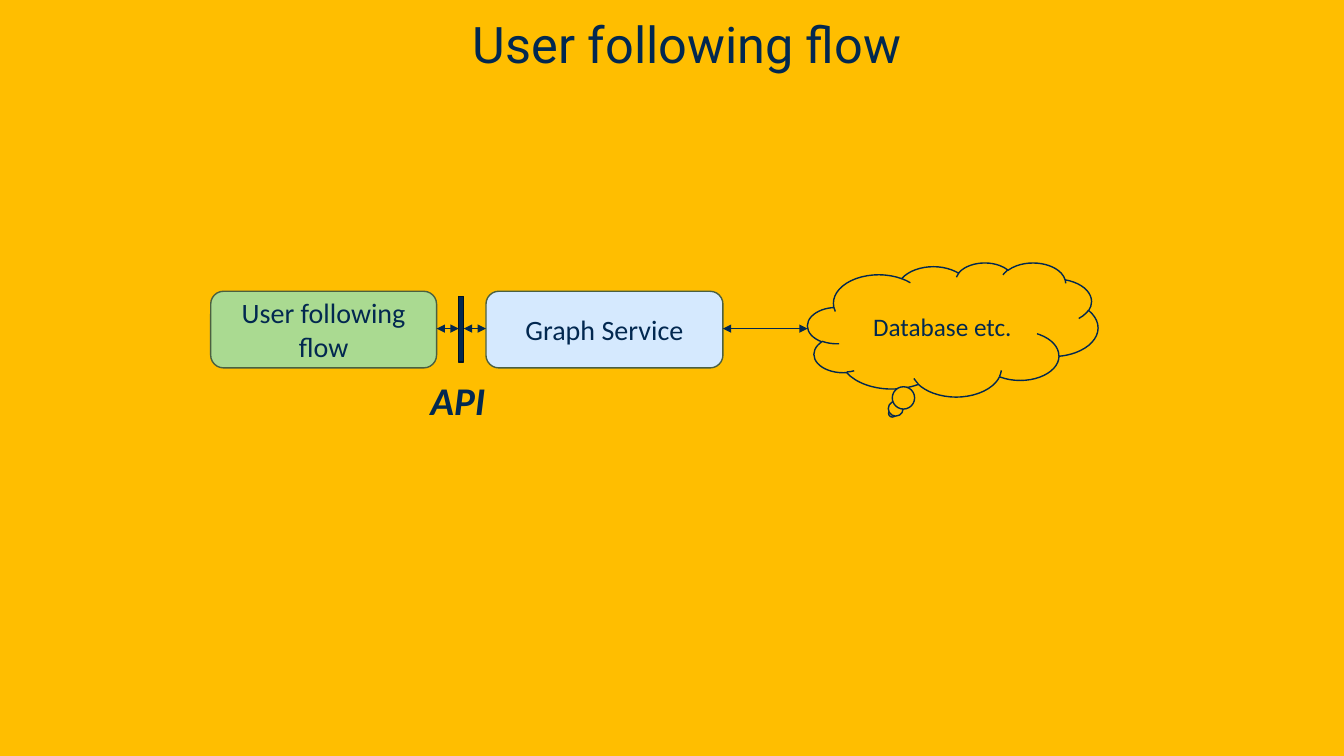
from pptx import Presentation
from pptx.dml.color import RGBColor
from pptx.enum.shapes import MSO_CONNECTOR, MSO_SHAPE
from pptx.enum.text import MSO_ANCHOR, PP_ALIGN
from pptx.oxml.ns import qn
from pptx.util import Inches, Pt
from lxml.etree import SubElement

NAVY, YELLOW, GREEN, BLUE = "022850", "FFBE00", "AADA91", "D5E9FE"
EDGE, BAR_EDGE = "4B6040", "011223"


def rgb(color):
    """Turn a hex string into a colour."""
    return RGBColor.from_string(color)


def write(s, text, size, font="Calibri", align=PP_ALIGN.CENTER, anchor=MSO_ANCHOR.MIDDLE):
    """Write one paragraph into a shape and return it."""
    tf = s.text_frame
    tf.word_wrap = True
    tf.vertical_anchor = anchor
    p = tf.paragraphs[0]
    p.text = text
    p.alignment = align
    p.font.size, p.font.name = Pt(size), font
    p.font.color.rgb = rgb(NAVY)
    return p


def add_node(slide, kind, box, fill, line, text="", size=20):
    """Add a filled, outlined shape with an optional label."""
    s = slide.shapes.add_shape(kind, *map(Inches, box))
    s.shadow.inherit = False
    s.fill.solid()
    s.fill.fore_color.rgb = rgb(fill)
    s.line.color.rgb = rgb(line)
    s.line.width = Pt(1)
    if text:
        write(s, text, size)


def add_arrow(slide, x1, x2, y):
    """Add a thin horizontal arrow with a head at each end."""
    s = slide.shapes.add_connector(MSO_CONNECTOR.STRAIGHT, *map(Inches, (x1, y, x2, y)))
    s.line.color.rgb = rgb(NAVY)
    s.line.width = Pt(0.5)
    ln = s.line._get_or_add_ln()
    for end in ("a:headEnd", "a:tailEnd"):
        SubElement(ln, qn(end), type="triangle")
    SubElement(s._element.spPr, qn("a:effectLst"))


def add_title(slide, x, y, w, h):
    """Add the slide title, centred right of a left indent."""
    s = slide.shapes.add_textbox(*map(Inches, (x, y, w, h)))
    write(s, "User following flow", 36, "Roboto", anchor=MSO_ANCHOR.BOTTOM)
    s.text_frame.margin_left = Inches(0.4)


def add_flow(slide, x, y, w, h):
    """Add the row from client through the API bar and service to the database."""
    mid = y + h / 2
    client_w, service_w, bar_w, cloud_w, cloud_h = 2.24, 2.35, 0.05, 2.88, 1.33
    client_end, service_x, cloud_x = x + client_w, x + 2.73, x + w - cloud_w
    service_end = service_x + service_w
    bar_x = (client_end + service_x - bar_w) / 2
    rounded = MSO_SHAPE.ROUNDED_RECTANGLE

    add_node(slide, rounded, (x, y, client_w, h), GREEN, EDGE, "User following flow")
    add_node(slide, rounded, (service_x, y, service_w, h), BLUE, EDGE, "Graph Service")
    add_node(slide, MSO_SHAPE.RECTANGLE, (bar_x, y + 0.05, bar_w, 0.65), NAVY, BAR_EDGE)
    add_node(slide, MSO_SHAPE.CLOUD_CALLOUT, (cloud_x, mid - cloud_h / 2, cloud_w, cloud_h),
             YELLOW, NAVY, "Database etc.", 18)
    for x1, x2 in ((client_end, bar_x), (bar_x + bar_w, service_x), (service_end, cloud_x)):
        add_arrow(slide, x1, x2, mid - 0.01)

    s = slide.shapes.add_textbox(*map(Inches, (bar_x - 0.38, y + h + 0.03, 0.88, 0.57)))
    p = write(s, "API", 28, align=PP_ALIGN.LEFT, anchor=MSO_ANCHOR.TOP)
    p.font.bold = p.font.italic = True


def main():
    """Build and save the slide."""
    prs = Presentation()
    prs.slide_width, prs.slide_height = Inches(13.33), Inches(7.5)
    slide = prs.slides.add_slide(prs.slide_layouts[6])
    slide.background.fill.solid()
    slide.background.fill.fore_color.rgb = rgb(YELLOW)
    add_title(slide, 0, 0, 13.33, 0.78)
    add_flow(slide, 2.09, 2.89, 8.8, 0.76)
    prs.save("out.pptx")


if __name__ == "__main__":
    main()
